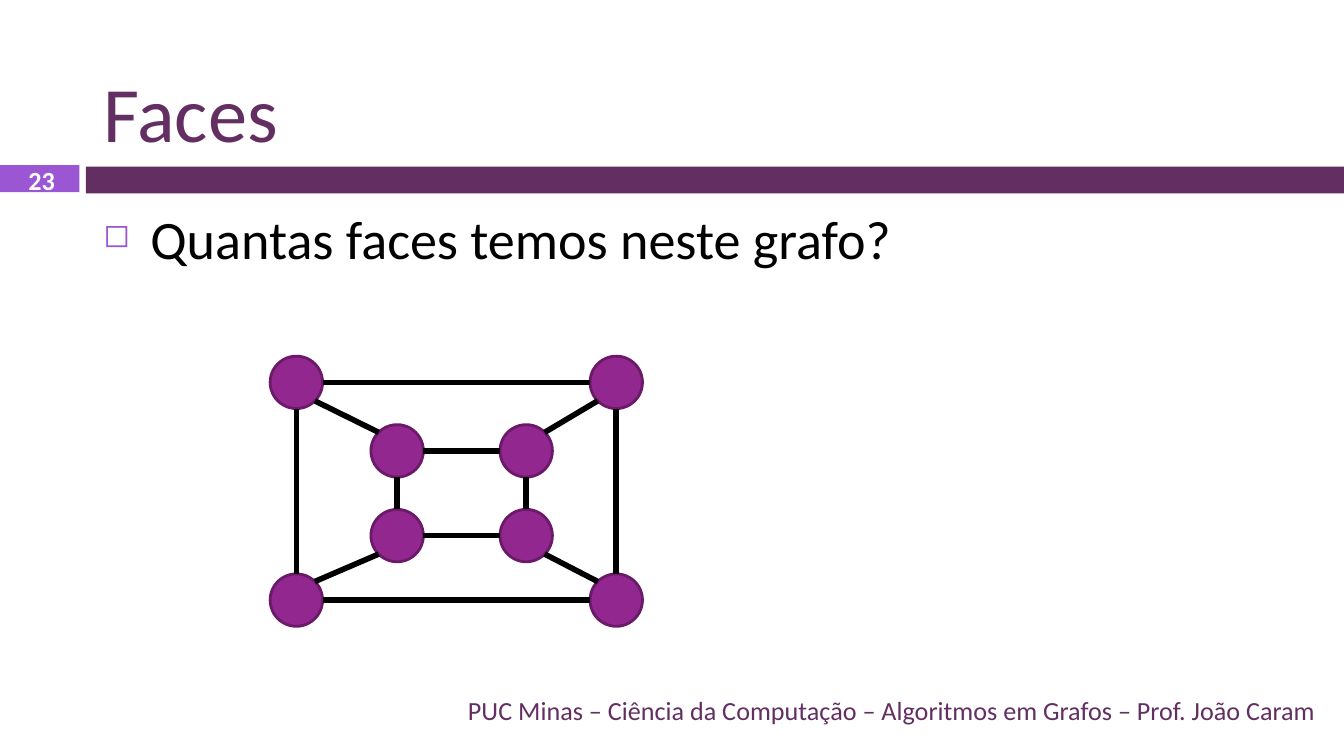
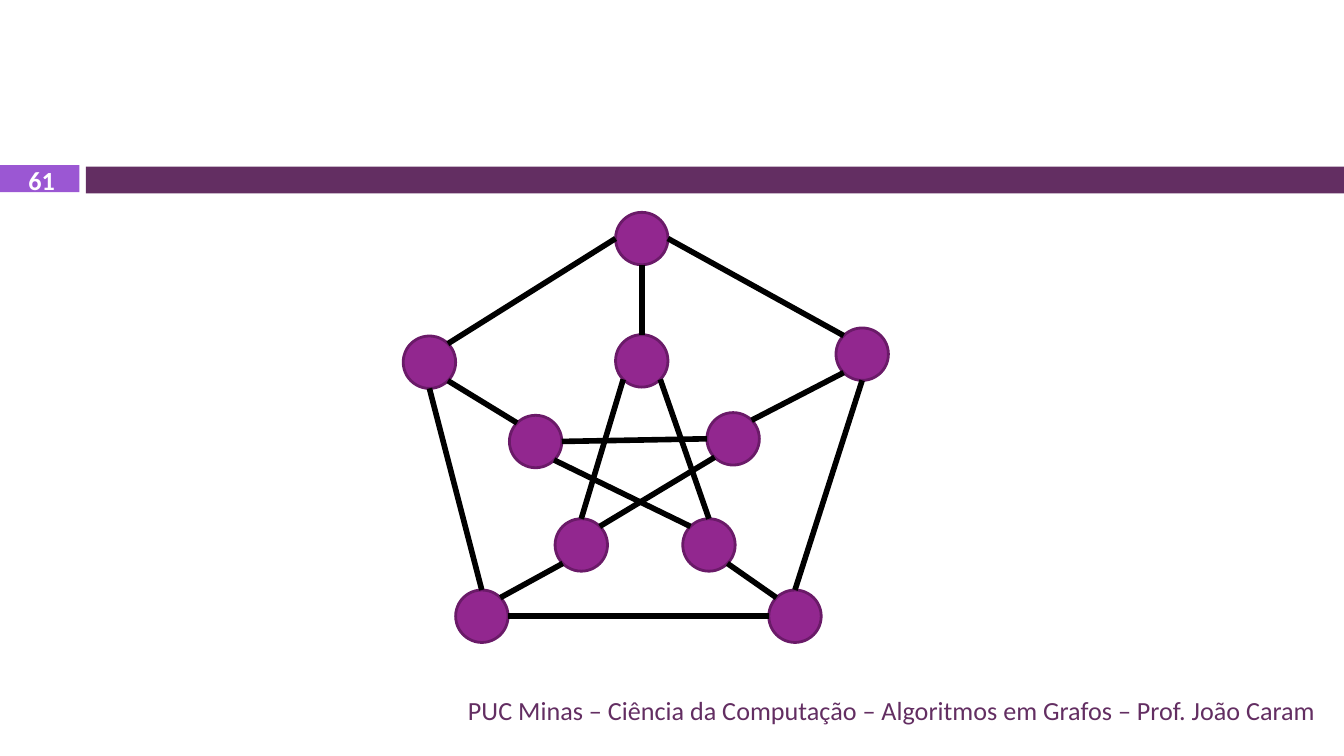
from math import cos, radians, sin

from lxml import etree
from pptx import Presentation
from pptx.dml.color import RGBColor
from pptx.enum import shapes, text
from pptx.oxml.ns import qn
from pptx.util import Inches, Pt

# Content: node -> (left, top); edge -> (node, side, node, side)
FOOTER = "PUC Minas – Ciência da Computação – Algoritmos em Grafos – Prof. João Caram"

NESTED_RECTANGLES = {
    "nodes": {
        "outer NW": (2.01, 2.65), "outer NE": (4.39, 2.65),
        "outer SE": (4.39, 4.27), "outer SW": (2.01, 4.27),
        "inner NW": (2.76, 3.16), "inner NE": (3.72, 3.16),
        "inner SE": (3.72, 3.79), "inner SW": (2.76, 3.79),
    },
    # Each ring is a rectangle; spokes join matching corners
    "edges": [
        (f"{ring} {start}", leave, f"{ring} {end}", arrive)
        for ring in ("outer", "inner")
        for start, leave, end, arrive in (
            ("NE", "W", "NW", "E"), ("SE", "W", "SW", "E"),
            ("SW", "N", "NW", "S"), ("SE", "N", "NE", "S"))
    ] + [
        (f"outer {corner}", inward, f"inner {corner}", corner)
        for corner, inward in (("SW", "NE"), ("SE", "NW"),
                               ("NE", "SW"), ("NW", "SE"))
    ],
}

PENTAGON_AND_STAR = {
    "nodes": {
        "outer top": (4.58, 1.58), "outer left": (3.0, 2.5),
        "outer right": (6.22, 2.44), "outer low left": (3.39, 4.39),
        "outer low right": (5.72, 4.39),
        "star top": (4.58, 2.49), "star left": (3.79, 3.09),
        "star right": (5.26, 3.07), "star low left": (4.13, 3.86),
        "star low right": (5.08, 3.86),
    },
    "edges": [
        # Pentagon
        ("outer top", "W", "outer left", "NE"),
        ("outer low left", "N", "outer left", "S"),
        ("outer low right", "N", "outer right", "S"),
        ("outer low left", "E", "outer low right", "W"),
        ("outer top", "E", "outer right", "NW"),
        # Spokes
        ("outer low left", "NE", "star low left", "SW"),
        ("star low right", "SE", "outer low right", "NW"),
        ("outer left", "SE", "star left", "NW"),
        ("outer right", "SW", "star right", "NE"),
        ("outer top", "S", "star top", "N"),
        # Star
        ("star top", "SW", "star low left", "N"),
        ("star top", "SE", "star low right", "N"),
        ("star left", "E", "star right", "W"),
        ("star left", "SE", "star low right", "NW"),
        ("star right", "SW", "star low left", "NE"),
    ],
}

SLIDES = [
    {"number": "23", "title": "Faces",
     "question": "Quantas faces temos neste grafo?", "graph": NESTED_RECTANGLES},
    {"number": "61", "graph": PENTAGON_AND_STAR},
]


# Theme and geometry
class Theme:
    font = "Calibri"
    plum = RGBColor.from_string("632E62")
    violet = RGBColor.from_string("9B57D3")
    node = RGBColor.from_string("92278F")
    node_rim = RGBColor.from_string("6A1A68")
    black = RGBColor.from_string("000000")
    white = RGBColor.from_string("FFFFFF")
    title_size, body_size, small_size = Pt(42), Pt(29), Pt(14)
    rim_width, edge_width = Pt(1.5), Pt(3)


SLIDE_WIDTH = Inches(10)
SLIDE_HEIGHT = SLIDE_WIDTH * 9 // 16
TITLE_BOX = (0.67, 0.13, 9.22, 1.1)
QUESTION_BOX = (0.67, 1.48, 9.22, 3.58)
NUMBER_BOX = (0.02, 1.24, 0.58, 0.2)
FOOTER_BOX = (0.67, 5.13, 9.22, 0.3)
BANDS = [((0.64, 1.24, 9.37, 0.2), Theme.plum),
         ((0, 1.23, 0.59, 0.2), Theme.violet)]
NODE_SIZE = 0.39
INDENT = Inches(0.35)
SIDE_ANGLES = {side: 45 * step for step, side in
               enumerate(("E", "SE", "S", "SW", "W", "NW", "N", "NE"))}


def inches(values):
    return [Inches(value) for value in values]


def set_all(target, formats):
    for name, value in formats.items():
        setattr(target, name, value)


def write(holder, words, size, color, bold=False, align=text.PP_ALIGN.LEFT,
          anchor=text.MSO_ANCHOR.TOP):
    frame = holder.text_frame
    set_all(frame, {"text": words, "word_wrap": True, "vertical_anchor": anchor,
                    "auto_size": text.MSO_AUTO_SIZE.NONE})
    paragraph = frame.paragraphs[0]
    paragraph.alignment = align
    font = paragraph.runs[0].font
    set_all(font, {"name": Theme.font, "size": size, "bold": bold})
    font.color.rgb = color
    return paragraph


def add_bullet(paragraph):
    properties = paragraph._p.get_or_add_pPr()
    properties.set("marL", str(INDENT))
    properties.set("indent", str(-INDENT))
    color = etree.SubElement(properties, qn("a:buClr"))
    etree.SubElement(color, qn("a:srgbClr"), val=str(Theme.violet))
    etree.SubElement(properties, qn("a:buSzPct"), val="60000")
    etree.SubElement(properties, qn("a:buChar"), char="◻")


def add_filled(slide, preset, box, color):
    shape = slide.shapes.add_shape(preset, *inches(box))
    shape.shadow.inherit = False
    shape.fill.solid()
    shape.fill.fore_color.rgb = color
    shape.line.fill.background()
    return shape


def add_frame(slide, number):
    for box, color in BANDS:
        add_filled(slide, shapes.MSO_SHAPE.RECTANGLE, box, color)
    middle = text.MSO_ANCHOR.MIDDLE
    write(slide.shapes.add_textbox(*inches(NUMBER_BOX)), number, Theme.small_size,
          Theme.white, True, text.PP_ALIGN.CENTER, middle)
    write(slide.shapes.add_textbox(*inches(FOOTER_BOX)), FOOTER, Theme.small_size,
          Theme.plum, False, text.PP_ALIGN.RIGHT, middle)


def rim_point(corner, side):
    radius, angle = NODE_SIZE / 2, radians(SIDE_ANGLES[side])
    return (corner[0] + radius * (1 + cos(angle)),
            corner[1] + radius * (1 + sin(angle)))


def add_graph(slide, graph):
    nodes = graph["nodes"]
    for corner in nodes.values():
        node = add_filled(slide, shapes.MSO_SHAPE.OVAL,
                          (*corner, NODE_SIZE, NODE_SIZE), Theme.node)
        node.line.color.rgb = Theme.node_rim
        node.line.width = Theme.rim_width
    for start, leave, end, arrive in graph["edges"]:
        ends = rim_point(nodes[start], leave) + rim_point(nodes[end], arrive)
        edge = slide.shapes.add_connector(shapes.MSO_CONNECTOR.STRAIGHT, *inches(ends))
        edge.line.color.rgb = Theme.black
        edge.line.width = Theme.edge_width
        etree.SubElement(edge._element.spPr, qn("a:effectLst"))


def main():
    deck = Presentation()
    set_all(deck, {"slide_width": SLIDE_WIDTH, "slide_height": SLIDE_HEIGHT})
    title_only, blank = deck.slide_layouts[5], deck.slide_layouts[6]
    for content in SLIDES:
        slide = deck.slides.add_slide(title_only if "title" in content else blank)
        add_frame(slide, content["number"])
        if "title" in content:
            title = slide.shapes.title
            set_all(title, dict(zip(("left", "top", "width", "height"),
                                    inches(TITLE_BOX))))
            write(title, content["title"], Theme.title_size, Theme.plum,
                  anchor=text.MSO_ANCHOR.BOTTOM)
        if "question" in content:
            question = slide.shapes.add_textbox(*inches(QUESTION_BOX))
            add_bullet(write(question, content["question"], Theme.body_size, Theme.black))
        add_graph(slide, content["graph"])
    deck.save("out.pptx")


if __name__ == "__main__":
    main()
